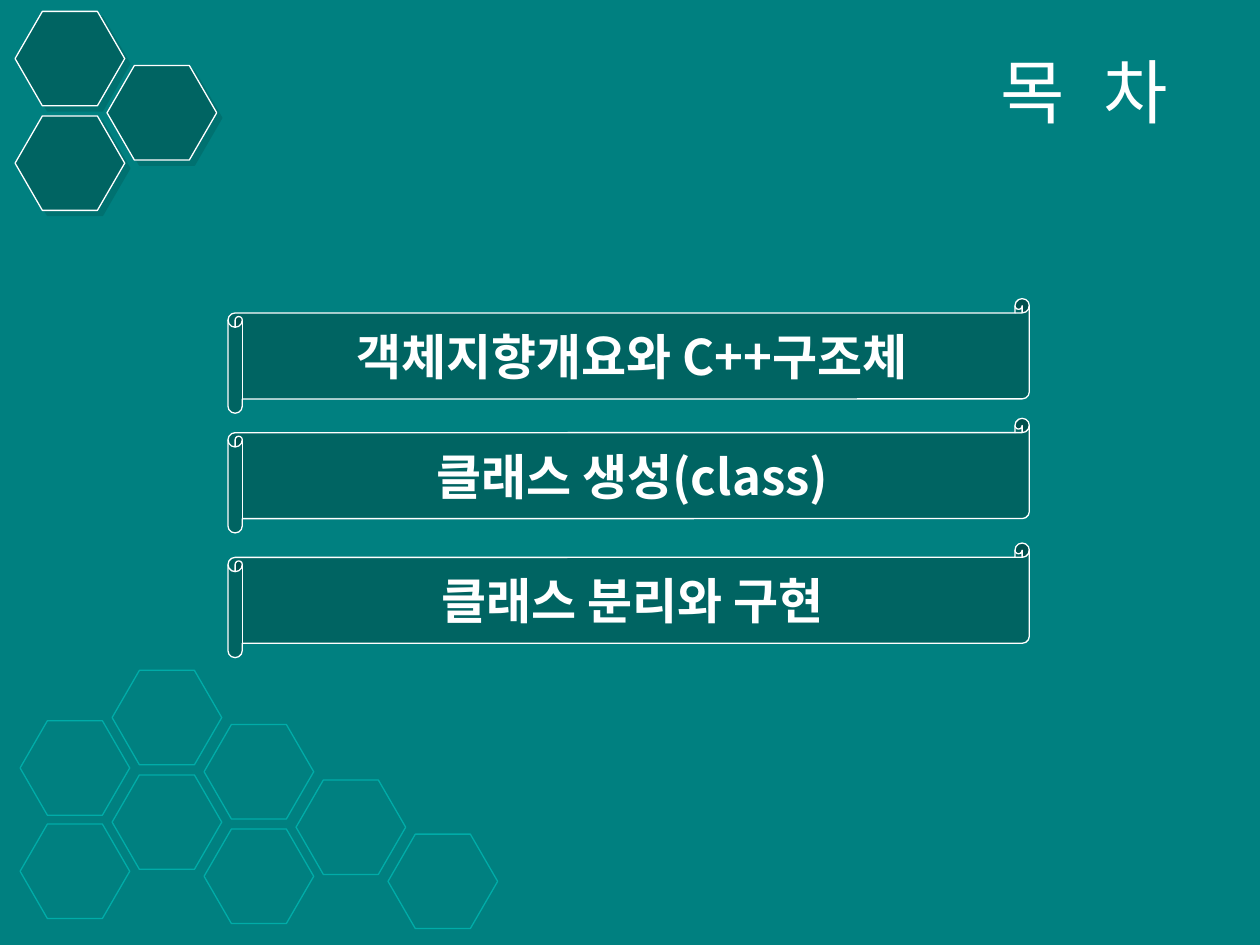
from lxml.etree import SubElement
from pptx import Presentation
from pptx.dml.color import RGBColor
from pptx.enum.shapes import MSO_SHAPE as Kind
from pptx.enum.text import MSO_ANCHOR as Anchor, PP_ALIGN as Align
from pptx.oxml.ns import qn
from pptx.util import Inches, Pt

TEAL, DARK, PALE, WHITE = "008080", "006462", "00ACA8", "FFFFFF"

TITLE = ("목", "차")
TOPICS = [
    ("객체지향개요와 C++구조체", 2.37),
    ("클래스 생성(class)", 3.32),
    ("클래스 분리와 구현", 4.31),
]

# Honeycombs: left edge, then the tops of the cells in each column
STEP = 0.73
FAINT = (0.16, [(5.72, 6.54), (5.32, 6.15), (5.75, 6.58), (6.19,), (6.62,)])
SOLID = (0.12, [(0.92, 0.09), (0.52,)])


def color(code):
    return RGBColor.from_string(code)


def add_shape(kind, x, y, w, h, line, fill=None):
    shape = slide.shapes.add_shape(
        kind, Inches(x), Inches(y), Inches(w), Inches(h))
    shape.shadow.inherit = False
    if fill:
        shape.fill.solid()
        shape.fill.fore_color.rgb = color(fill)
    else:
        shape.fill.background()
    shape.line.color.rgb = color(line)
    shape.line.width = Pt(0.75)
    return shape


def cast_shadow(shape):
    """Give the shape a half-clear shadow down and to the right."""
    effects = shape._element.spPr.find(qn("a:effectLst"))
    shadow = SubElement(effects, qn("a:outerShdw"), dist=str(Pt(4.2)),
                        dir="2700000", algn="ctr", rotWithShape="0")
    tint = SubElement(shadow, qn("a:srgbClr"), val=DARK)
    SubElement(tint, qn("a:alpha"), val="50000")


def add_comb(comb, line, fill=None):
    left, columns = comb
    for i, tops in enumerate(columns):
        for top in tops:
            cell = add_shape(Kind.HEXAGON, left + i * STEP, top,
                             0.87, 0.75, line, fill)
            cell.adjustments[0] = 0.289
            if fill:
                cast_shadow(cell)


def add_run(para, text, size, face, bold=False):
    run = para.add_run()
    run.text = text
    font = run.font
    font.size, font.name, font.bold = Pt(size), face, bold
    font.color.rgb = color(WHITE)
    props = run._r.get_or_add_rPr()
    SubElement(props, qn("a:ea"), typeface=face)
    return props


deck = Presentation()
deck.slide_width, deck.slide_height = Inches(10), Inches(7.5)
slide = deck.slides.add_slide(deck.slide_layouts[5])
slide.background.fill.solid()
slide.background.fill.fore_color.rgb = color(TEAL)

add_comb(FAINT, PALE)
add_comb(SOLID, WHITE, DARK)

title = slide.shapes.title
title.left, title.top = Inches(1.85), Inches(0.28)
title.width, title.height = Inches(7.52), Inches(0.87)
title.text_frame.vertical_anchor = Anchor.MIDDLE
para = title.text_frame.paragraphs[0]
para.alignment = Align.RIGHT
first, last = TITLE
add_run(para, first, 40, "Arial")
add_run(para, " ", 40, "Arial").set("spc", "1100")  # widens the gap
add_run(para, last, 40, "Arial")

for text, top in TOPICS:
    scroll = add_shape(Kind.HORIZONTAL_SCROLL, 1.81, top, 6.36, 0.91,
                       WHITE, DARK)
    scroll.text_frame.vertical_anchor = Anchor.MIDDLE
    para = scroll.text_frame.paragraphs[0]
    para.alignment = Align.CENTER
    add_run(para, text, 28, "Noto Sans CJK KR", True)

deck.save("out.pptx")
